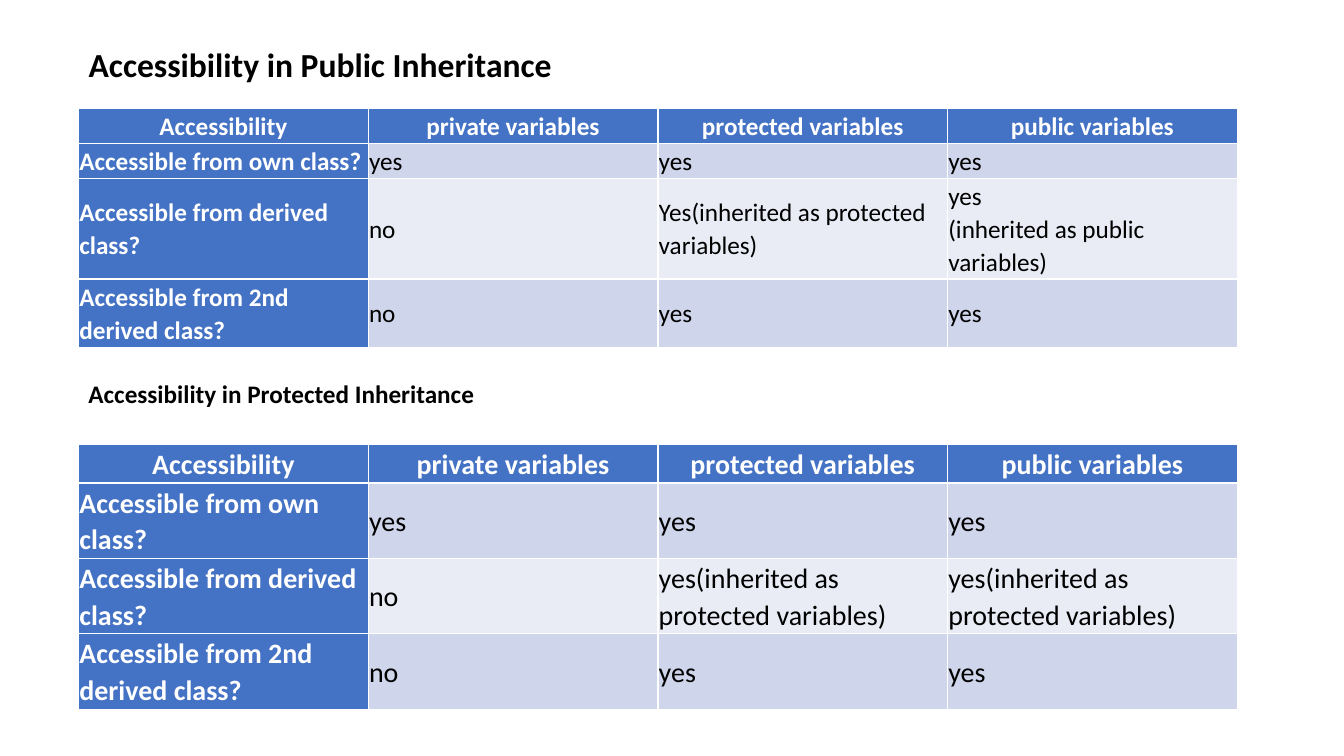
from pptx import Presentation
from pptx import util as u
from pptx.dml import color as c
from pptx.enum import text as t

WHITE = c.RGBColor(0xFF, 0xFF, 0xFF)
BLACK = c.RGBColor(0, 0, 0)
BLUE = c.RGBColor(0x44, 0x72, 0xC4)
BANDS = c.RGBColor(0xE9, 0xEB, 0xF5), c.RGBColor(0xCF, 0xD5, 0xEA)

LEFT = 1.98
WIDTH = 29.2
HEADS = ["Accessibility", "private variables", "protected variables", "public variables"]
OWN = ["Accessible from own class?", "yes", "yes", "yes"]
NEXT = ["Accessible from derived class?", "no"]
LAST = ["Accessible from 2nd derived class?", "no", "yes", "yes"]
PUBLIC = ["Yes(inherited as protected variables)", "yes\n(inherited as public variables)"]
GUARDED = ["yes(inherited as protected variables)"] * 2


def apply(item, form):
    for name, value in form.items():
        setattr(item, name, value)


def write(para, words, size, tint, bold):
    para.text = words
    for run in para.runs:
        apply(run.font, {"name": "Calibri", "size": u.Pt(size), "bold": bold})
        run.font.color.rgb = tint


def heading(shape, box, words, size):
    apply(shape, dict(zip(("left", "top", "width", "height"), map(u.Cm, box))))
    frame = shape.text_frame
    apply(frame, {"word_wrap": False, "auto_size": t.MSO_AUTO_SIZE.NONE,
                  "vertical_anchor": t.MSO_ANCHOR.TOP})
    para = frame.paragraphs[0]
    para.alignment = t.PP_ALIGN.LEFT
    write(para, words, size, BLACK, True)


def grid(slide, top, highs, middle, size):
    rows = [HEADS, OWN, NEXT + middle, LAST]
    box = map(u.Cm, (LEFT, top, WIDTH, sum(highs)))
    table = slide.shapes.add_table(len(rows), len(HEADS), *box).table
    table.first_col = True
    pad = u.Cm(0.02)
    for r, words in enumerate(rows):
        table.rows[r].height = u.Cm(highs[r])
        for k, word in enumerate(words):
            cell = table.cell(r, k)
            label = r == 0 or k == 0
            apply(cell, {"margin_left": pad, "margin_right": pad, "margin_top": pad,
                         "margin_bottom": pad, "vertical_anchor": t.MSO_ANCHOR.MIDDLE})
            cell.fill.solid()
            cell.fill.fore_color.rgb = BLUE if label else BANDS[r % 2]
            para = cell.text_frame.paragraphs[0]
            apply(para, {"line_spacing": 1.07,
                         "alignment": t.PP_ALIGN.LEFT if r else t.PP_ALIGN.CENTER})
            write(para, word, size, WHITE if label else BLACK, label)


def main():
    deck = Presentation()
    apply(deck, {"slide_width": u.Cm(33.87), "slide_height": u.Cm(19.05)})
    slide = deck.slides.add_slide(deck.slide_layouts[5])
    grid(slide, 11.2, [0.97, 1.9, 1.9, 1.9], GUARDED, 20)
    grid(slide, 2.72, [0.9, 0.87, 2.54, 1.72], PUBLIC, 18)
    heading(slide.shapes.title, (LEFT, 0.97, 12.29, 2.06),
            "Accessibility in Public Inheritance", 24)
    note = slide.shapes.add_textbox(0, 0, 0, 0)
    heading(note, (LEFT, 9.4, 10.31, 1.8), "Accessibility in Protected Inheritance", 18)
    deck.save("out.pptx")


if __name__ == "__main__":
    main()
